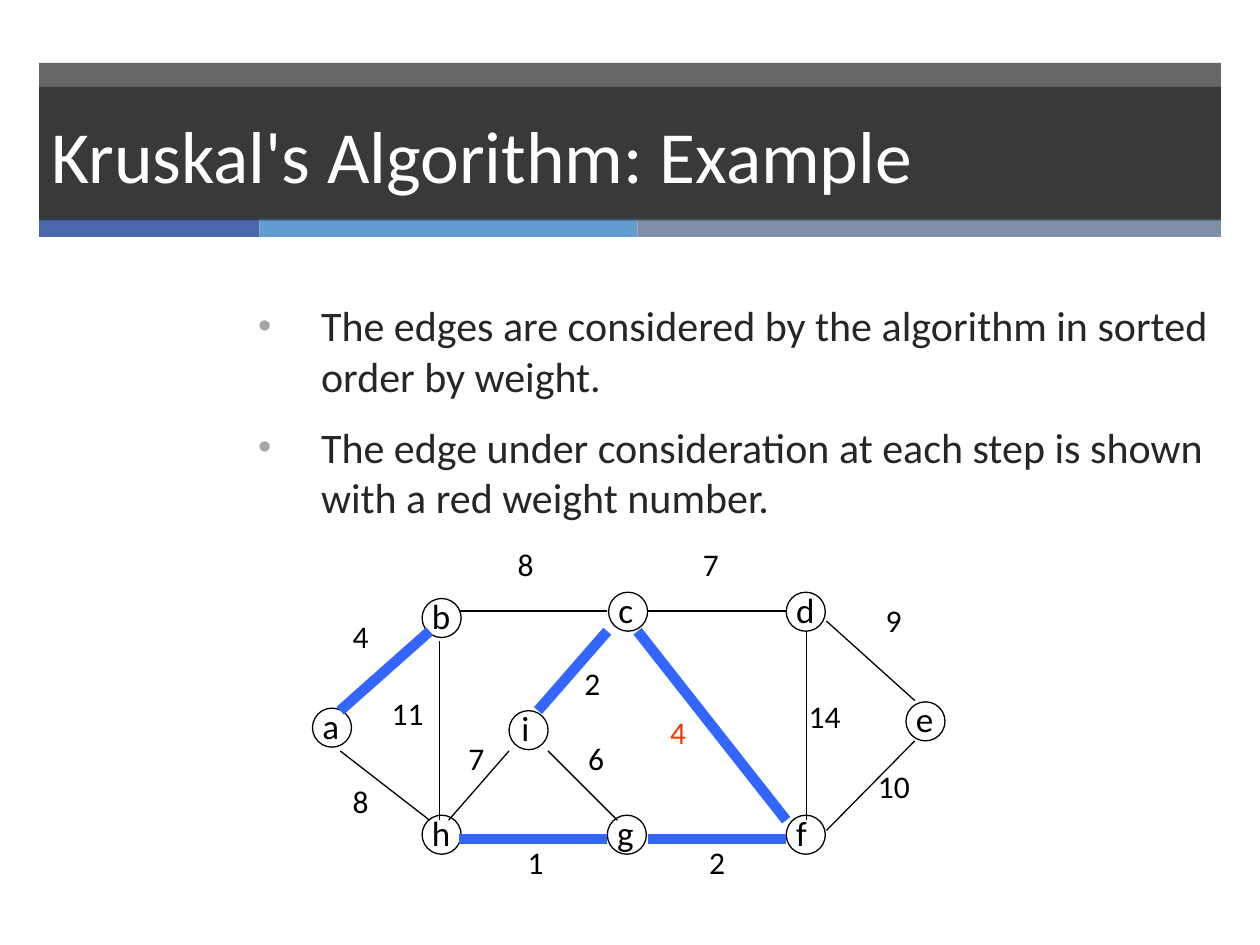
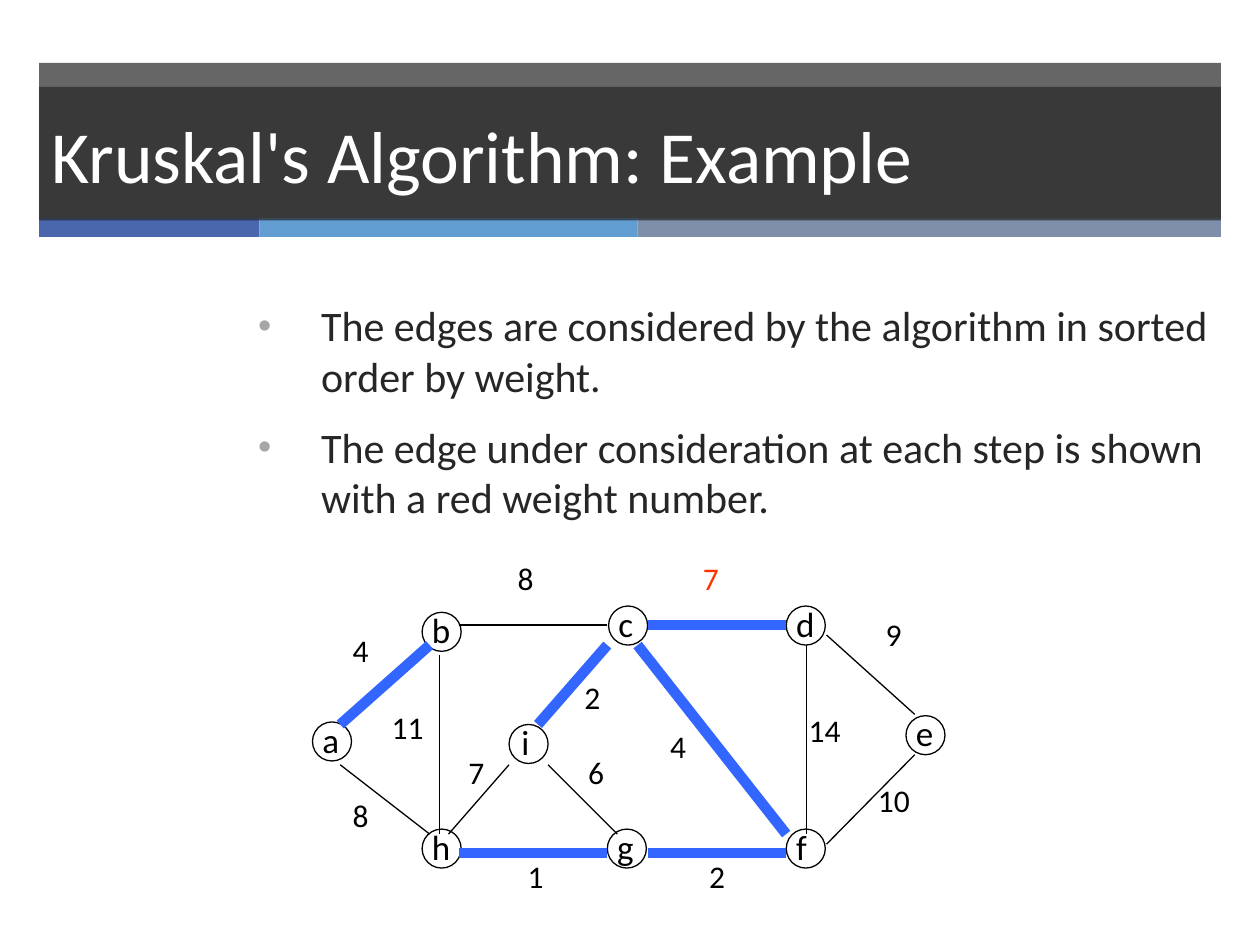
from lxml import etree
from pptx import Presentation
from pptx.dml.color import RGBColor
from pptx.enum.shapes import MSO_CONNECTOR, MSO_SHAPE
from pptx.enum.text import MSO_ANCHOR, MSO_AUTO_SIZE
from pptx.oxml.ns import qn
from pptx.util import Inches, Pt

RECTANGLE, OVAL = MSO_SHAPE.RECTANGLE, MSO_SHAPE.OVAL
STRAIGHT = MSO_CONNECTOR.STRAIGHT
TOP, MIDDLE = MSO_ANCHOR.TOP, MSO_ANCHOR.MIDDLE
FIT_SHAPE, NO_FIT = MSO_AUTO_SIZE.SHAPE_TO_FIT_TEXT, MSO_AUTO_SIZE.NONE

FONT = "Calibri"
BLACK = RGBColor(0x00, 0x00, 0x00)
WHITE = RGBColor(0xFF, 0xFF, 0xFF)
CHARCOAL = RGBColor(0x26, 0x26, 0x26)
TREE_BLUE = RGBColor(0x33, 0x66, 0xFF)
CONSIDERED_RED = RGBColor(0xFF, 0x33, 0x00)
BULLET_GREY = "A6A6A6"

TITLE = "Kruskal's Algorithm: Example"
POINTS = [
    "The edges are considered by the algorithm in sorted order by weight.",
    "The edge under consideration at each step is shown with a red weight number.",
]

BAND_LEFT, BAND_WIDTH = 0.31, 9.38
STRIPES = [  # width, colour
    (1.75, RGBColor(0x4A, 0x66, 0xAC)),
    (3.00, RGBColor(0x62, 0x9D, 0xD1)),
    (4.63, RGBColor(0x7F, 0x8F, 0xA9)),
]

NODE_SIZE = 0.31
NODES = {  # left, top, letter box width
    "a": (2.48, 5.62, 0.32),
    "b": (3.35, 4.75, 0.34),
    "h": (3.35, 6.47, 0.34),
    "c": (4.83, 4.70, 0.32),
    "d": (6.24, 4.70, 0.34),
    "e": (7.19, 5.57, 0.32),
    "f": (6.24, 6.47, 0.29),
    "g": (4.82, 6.47, 0.34),
    "i": (4.04, 5.64, 0.28),
}
EDGES = {  # start, end, weight, weight position
    "ab": ((2.70, 5.64), (3.41, 5.01), 4, (2.70, 4.85)),
    "ah": ((2.70, 5.96), (3.41, 6.51), 8, (2.70, 6.16)),
    "bh": ((3.49, 5.09), (3.49, 6.51), 11, (3.01, 5.46)),
    "bc": ((3.64, 4.85), (4.82, 4.85), 8, (4.01, 4.28)),
    "hg": ((3.64, 6.66), (4.82, 6.66), 1, (4.09, 6.64)),
    "gf": ((5.14, 6.66), (6.24, 6.66), 2, (5.53, 6.64)),
    "cf": ((5.06, 5.01), (6.24, 6.51), 4, (5.22, 5.61)),
    "cd": ((5.14, 4.85), (6.24, 4.85), 7, (5.48, 4.28)),
    "df": ((6.40, 5.01), (6.40, 6.51), 14, (6.32, 5.48)),
    "de": ((6.56, 4.93), (7.26, 5.56), 9, (6.93, 4.72)),
    "fe": ((6.56, 6.59), (7.26, 5.88), 10, (6.87, 6.04)),
    "ig": ((4.35, 5.96), (4.90, 6.51), 6, (4.57, 5.82)),
    "hi": ((3.56, 6.51), (4.04, 5.96), 7, (3.62, 5.82)),
    "ic": ((4.27, 5.64), (4.82, 5.01), 2, (4.54, 5.22)),
}
FIRST_TREE = ["hg", "gf", "ic", "ab", "cf"]
STEPS = [  # tree edges, edge under consideration, graph shift down
    (FIRST_TREE, "cf", 0),
    (FIRST_TREE + ["cd"], "cd", 0.11),
]


def write(frame, paragraphs, size, color=BLACK, anchor=TOP, wrap=False,
          fit=FIT_SHAPE, bullets=False):
    frame.word_wrap = wrap
    frame.auto_size = fit
    frame.vertical_anchor = anchor
    for index, text in enumerate(paragraphs):
        paragraph = frame.add_paragraph() if index else frame.paragraphs[0]
        run = paragraph.add_run()
        run.text = text
        run.font.name, run.font.size = FONT, Pt(size)
        run.font.color.rgb = color
        if bullets:
            paragraph.space_after = Pt(size / 2)
            add_bullet(paragraph)


def add_bullet(paragraph):
    properties = paragraph._p.get_or_add_pPr()
    properties.set("marL", str(Inches(0.5)))
    properties.set("indent", str(Inches(-0.5)))
    color = etree.SubElement(properties, qn("a:buClr"))
    etree.SubElement(color, qn("a:srgbClr"), val=BULLET_GREY)
    etree.SubElement(properties, qn("a:buSzPct"), val="90000")
    etree.SubElement(properties, qn("a:buFont"), typeface="Arial")
    etree.SubElement(properties, qn("a:buChar"), char="•")


def add_text(slide, left, top, width, height, paragraphs, size, **text_format):
    box = slide.shapes.add_textbox(*map(Inches, (left, top, width, height)))
    write(box.text_frame, paragraphs, size, **text_format)


def add_band(slide, left, top, width, height, color, opacity=100):
    band = slide.shapes.add_shape(RECTANGLE, *map(Inches, (left, top, width, height)))
    band.shadow.inherit = False
    band.fill.solid()
    band.fill.fore_color.rgb = color
    band.line.fill.background()
    if opacity < 100:
        rgb = band.fill._xPr.find(f".//{qn('a:srgbClr')}")
        etree.SubElement(rgb, qn("a:alpha"), val=str(opacity * 1000))
    return band


def add_header(slide):
    add_band(slide, BAND_LEFT, 0.5, BAND_WIDTH, 1.24, CHARCOAL, opacity=70)
    left = BAND_LEFT
    for width, color in STRIPES:
        add_band(slide, left, 1.73, width, 0.15, color)
        left += width
    title = add_band(slide, BAND_LEFT, 0.69, BAND_WIDTH, 1.06, CHARCOAL, opacity=70)
    write(title.text_frame, [TITLE], 42, color=WHITE, anchor=MIDDLE, wrap=True, fit=NO_FIT)
    title.text_frame.paragraphs[0].alignment = 1


def add_node(slide, letter, left, top, letter_width):
    letter_left = left if letter == "i" else left - 0.02
    add_text(slide, letter_left, top - 0.08, letter_width, 0.43, [letter], 20)
    circle = slide.shapes.add_shape(
        OVAL, *map(Inches, (left, top, NODE_SIZE, NODE_SIZE)))
    circle.shadow.inherit = False
    circle.fill.background()
    circle.line.color.rgb = BLACK
    circle.line.width = Pt(0.75)


def add_edge(slide, start, end, in_tree):
    edge = slide.shapes.add_connector(STRAIGHT, *map(Inches, start + end))
    edge.line.color.rgb = TREE_BLUE if in_tree else BLACK
    edge.line.width = Pt(6 if in_tree else 0.75)
    etree.SubElement(edge._element.spPr, qn("a:effectLst"))


def add_graph(slide, tree, considered, shift):
    def lower(point):
        return point[0], point[1] + shift

    for letter, (left, top, letter_width) in NODES.items():
        add_node(slide, letter, left, top + shift, letter_width)
    for name, (start, end, _, _) in EDGES.items():
        add_edge(slide, lower(start), lower(end), name in tree)
    for name, (_, _, weight, position) in EDGES.items():
        width = 0.37 if weight < 10 else 0.53
        color = CONSIDERED_RED if name == considered else BLACK
        add_text(slide, *lower(position), width, 0.5, [str(weight)], 18, color=color)


def main():
    deck = Presentation()
    deck.slide_width, deck.slide_height = Inches(10), Inches(7.5)
    blank = deck.slide_layouts[6]
    for tree, considered, shift in STEPS:
        slide = deck.slides.add_slide(blank)
        add_header(slide)
        add_text(slide, 1.95, 2.33, 7.74, 4.37, POINTS, 24, color=CHARCOAL,
                 wrap=True, fit=NO_FIT, bullets=True)
        add_graph(slide, tree, considered, shift)
    deck.save("out.pptx")


if __name__ == "__main__":
    main()
